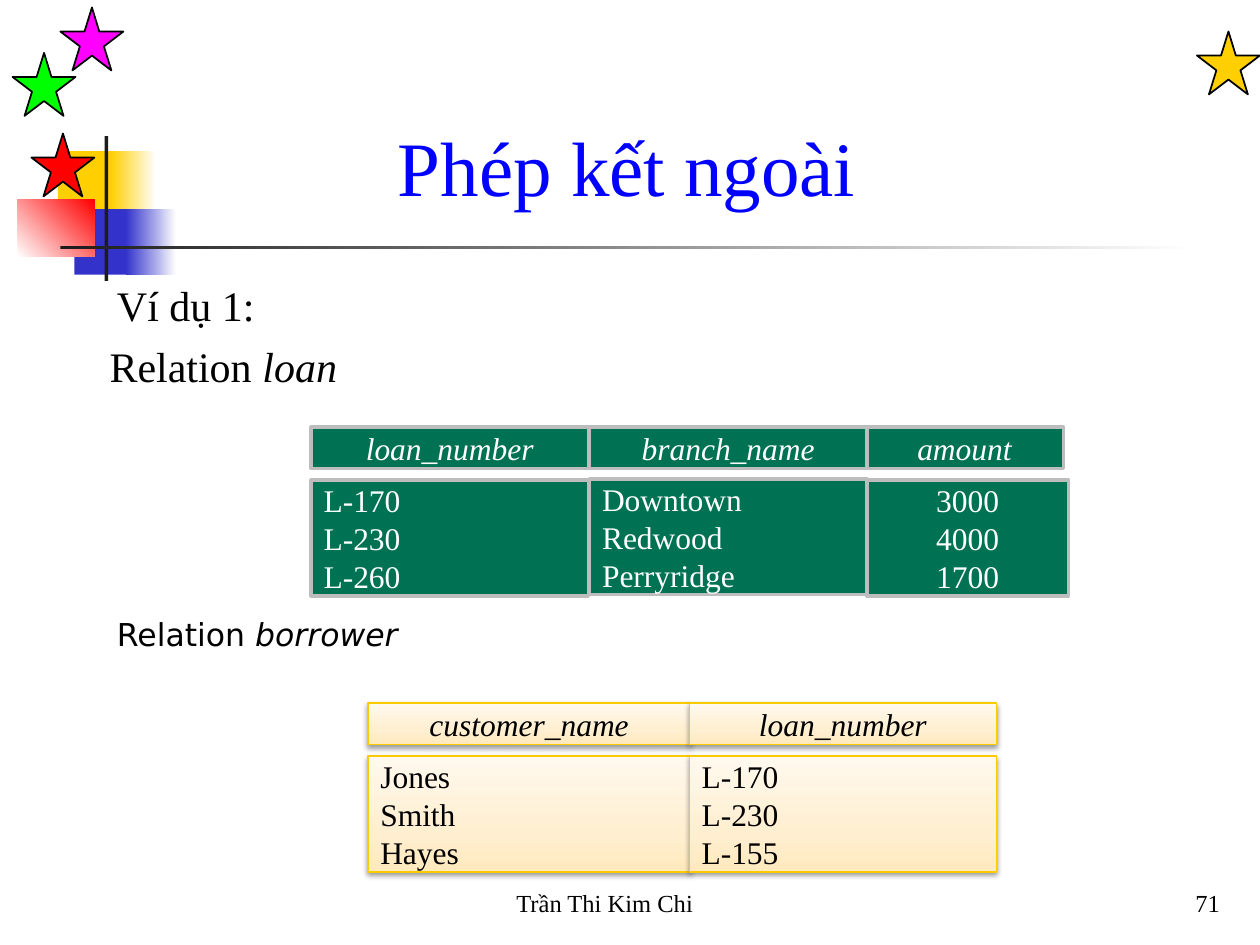
import pptx
import pptx.util
import pptx.dml.color
import pptx.enum.shapes
import pptx.enum.text
from lxml import etree
from pptx.oxml.ns import qn

Inches, Pt = pptx.util.Inches, pptx.util.Pt
Color = pptx.dml.color.RGBColor.from_string
Shape = pptx.enum.shapes.MSO_SHAPE
Align = pptx.enum.text.PP_ALIGN
Anchor = pptx.enum.text.MSO_ANCHOR


class Theme:
    serif, sans = "Times New Roman", "DejaVu Sans"
    black, white, ink = "000000", "FFFFFF", "1C1C1C"
    yellow, blue, red, lime, magenta = "FFCF01", "3333CC", "FF0000", "00FF00", "FF00FF"
    title_blue, bullet_navy = "0000FF", "333399"
    green, silver, gold = "007254", "BDBDBD", "FACB00"
    cream = [(0, "FFE9BD"), (35, "FFEFD1"), (100, "FFF9EE")]
    title_size, body_size, table_size, footer_size = 44, 24, 18, 14


def add_block(kind, at, fill, angle=0, line=None, line_width=1):
    """Add a shape; fill is a colour or a list of gradient stops (percent, colour)."""
    block = page.shapes.add_shape(kind, *map(Inches, at))
    block.shadow.inherit = False
    if isinstance(fill, str):
        block.fill.solid()
        block.fill.fore_color.rgb = Color(fill)
    else:
        block.fill.gradient()
        block.fill.gradient_angle = angle
        stops = block._element.spPr.find(".//" + qn("a:gsLst"))
        for stop in list(stops):
            stops.remove(stop)
        for percent, color in fill:
            stop = etree.SubElement(stops, qn("a:gs"), pos=str(percent * 1000))
            etree.SubElement(stop, qn("a:srgbClr"), val=color)
    if line:
        block.line.color.rgb = Color(line)
        block.line.width = Pt(line_width)
    else:
        block.line.fill.background()
    return block


def write_text(box, lines, size, color, anchor, align=Align.LEFT, font=Theme.serif, italic=None):
    """Fill a box with one paragraph per line and return the first paragraph."""
    frame = box.text_frame
    frame.word_wrap = True
    frame.vertical_anchor = anchor
    frame.text = "\n".join(lines)
    for para in frame.paragraphs:
        para.alignment = align
        para.font.name = font
        para.font.size = Pt(size)
        para.font.italic = italic
        para.font.color.rgb = Color(color)
    return frame.paragraphs[0]


deck = pptx.Presentation()
deck.slide_width, deck.slide_height = Inches(10), Inches(7.5)
page = deck.slides.add_slide(deck.slide_layouts[6])

# Corner ornament and rule
for at, fill, angle in [
    ((0.46, 1.2, 0.48, 0.52), Theme.yellow, 0),
    ((0.88, 1.2, 0.36, 0.52), [(0, Theme.yellow), (100, Theme.white)], 0),
    ((0.59, 1.66, 0.46, 0.52), Theme.blue, 0),
    ((1, 1.66, 0.4, 0.52), [(0, Theme.blue), (100, Theme.white)], 0),
    ((0.14, 1.58, 0.61, 0.46), [(0, Theme.white), (100, Theme.red)], 45),
    ((0.83, 1.08, 0.03, 1.15), Theme.ink, 0),
    ((0.48, 1.95, 9, 0.03), [(0, Theme.ink), (100, Theme.white)], 0),
]:
    add_block(Shape.RECTANGLE, at, fill, angle)

for left, top, color in [
    (9.5, 0.25, Theme.yellow),
    (0.25, 1.06, Theme.red),
    (0.1, 0.42, Theme.lime),
    (0.48, 0.06, Theme.magenta),
]:
    add_block(Shape.STAR_5_POINT, (left, top, 0.5, 0.5), color, line=Theme.black)

# Plain text
for text, at, size, color, anchor, align in [
    ("Ví dụ 1:", (0.83, 2.08, 1.83, 0.59), Theme.body_size, Theme.black, Anchor.BOTTOM, Align.LEFT),
    ("Phép kết ngoài", (0.5, 0.58, 8.95, 1.15), Theme.title_size, Theme.title_blue,
     Anchor.BOTTOM, Align.CENTER),
    ("Trần Thi Kim Chi", (4, 6.83, 3.17, 0.5), Theme.footer_size, Theme.black,
     Anchor.BOTTOM, Align.LEFT),
    ("71", (7.7, 6.83, 2.08, 0.5), Theme.footer_size, Theme.black, Anchor.BOTTOM, Align.RIGHT),
]:
    box = page.shapes.add_textbox(*map(Inches, at))
    write_text(box, [text], size, color, anchor, align)

# Bulleted relation names
for relation, at, inset, indent, bullet_color, bullet_size, size, font in [
    ("loan", (0.67, 2.6, 7.5, 0.53), (0.2, 0.1), 0.29, Theme.blue, 60,
     Theme.body_size, Theme.serif),
    ("borrower", (0.83, 4.83, 7.69, 0.53), (0.1, 0.05), 0.38, Theme.bullet_navy, 90,
     Theme.table_size, Theme.sans),
]:
    box = page.shapes.add_textbox(*map(Inches, at))
    box.text_frame.margin_left, box.text_frame.margin_top = map(Inches, inset)
    para = box.text_frame.paragraphs[0]
    properties = para._p.get_or_add_pPr()
    properties.set("marL", str(Inches(indent)))
    properties.set("indent", str(-Inches(indent)))
    bullet = etree.SubElement(properties, qn("a:buClr"))
    etree.SubElement(bullet, qn("a:srgbClr"), val=bullet_color)
    etree.SubElement(properties, qn("a:buSzPct"), val=str(bullet_size * 1000))
    etree.SubElement(properties, qn("a:buFont"), typeface=Theme.serif)
    etree.SubElement(properties, qn("a:buChar"), char="■")
    para = write_text(box, ["Relation "], size, Theme.black, Anchor.TOP, font=font)
    span = para.add_run()
    span.text = relation
    span.font.italic = True

# Relations drawn as blocks: one line is a heading, several are a column of values
borrower_cells = [
    (["customer_name"], 2.92, 5.58, 2.56),
    (["loan_number"], 5.47, 5.58, 2.44),
    (["Jones", "Smith", "Hayes"], 2.92, 6, 2.56),
    (["L-170", "L-230", "L-155"], 5.47, 6, 2.44),
]
loan_cells = [
    (["3000", "4000", "1700"], 6.88, 3.81, 1.6),
    (["loan_number"], 2.47, 3.39, 2.2),
    (["amount"], 6.87, 3.39, 1.57),
    (["L-170", "L-230", "L-260"], 2.47, 3.81, 2.2),
    (["branch_name"], 4.68, 3.39, 2.2),
    (["Downtown", "Redwood", "Perryridge"], 4.68, 3.8, 2.2),
]
for cells, fill, line, line_width, color, shadowed in [
    (borrower_cells, Theme.cream, Theme.gold, 0.75, Theme.black, True),
    (loan_cells, Theme.green, Theme.silver, 2, Theme.white, False),
]:
    for lines, left, top, width in cells:
        heading = len(lines) == 1
        at = (left, top, width, 0.33 if heading else 0.92)
        cell = add_block(Shape.RECTANGLE, at, fill, 90, line, line_width)
        if shadowed:
            effects = cell._element.spPr.find(qn("a:effectLst"))
            shadow = etree.SubElement(effects, qn("a:outerShdw"), blurRad=str(Pt(3.1)),
                                      dist=str(Pt(1.6)), dir="5400000", rotWithShape="0")
            tint = etree.SubElement(shadow, qn("a:srgbClr"), val=Theme.black)
            etree.SubElement(tint, qn("a:alpha"), val="38000")
        centred = heading or lines[0].isdigit()
        write_text(cell, lines, Theme.table_size, color, Anchor.MIDDLE,
                   Align.CENTER if centred else Align.LEFT, italic=heading)

deck.save("out.pptx")
